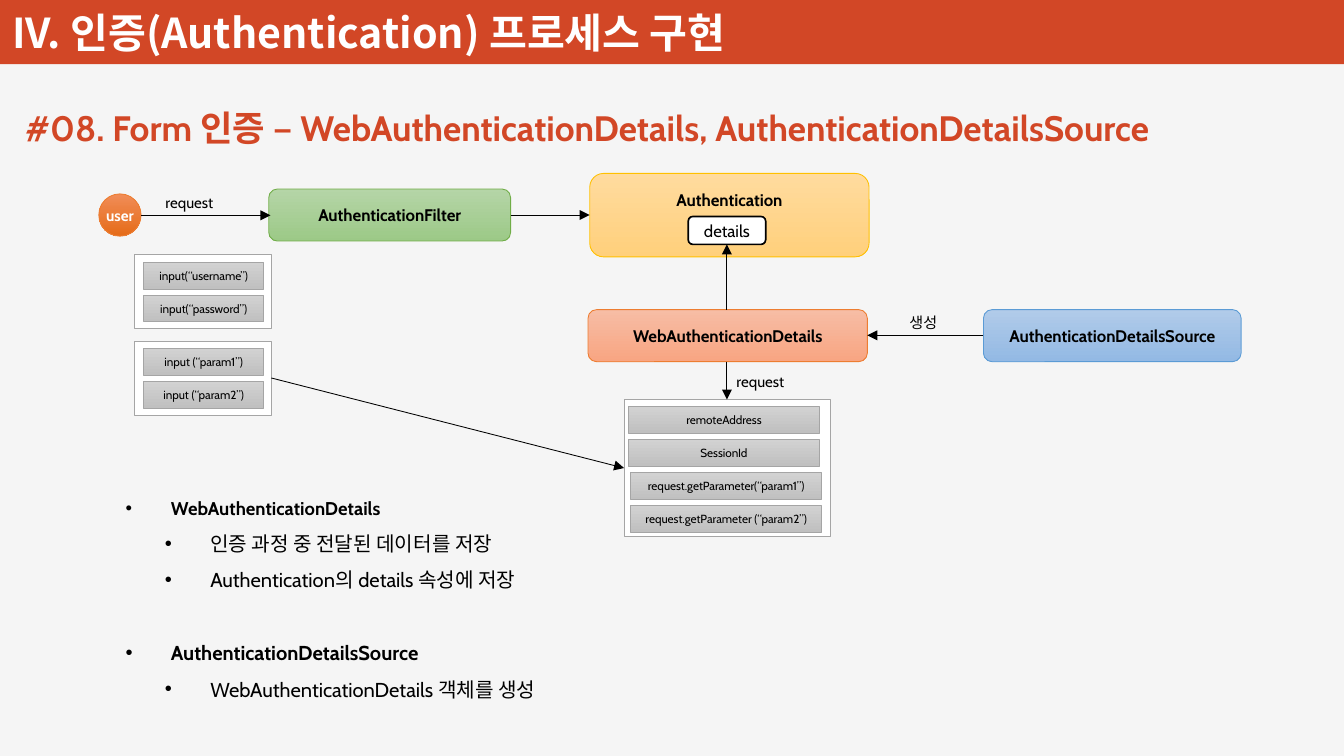
"""Build the slide on WebAuthenticationDetails and AuthenticationDetailsSource."""
from lxml import etree
from pptx import Presentation
from pptx.dml.color import RGBColor
from pptx.enum.shapes import MSO_CONNECTOR, MSO_SHAPE
from pptx.enum.text import MSO_ANCHOR, PP_ALIGN
from pptx.oxml.ns import qn
from pptx.util import Pt

RECT, ROUND, OVAL = MSO_SHAPE.RECTANGLE, MSO_SHAPE.ROUNDED_RECTANGLE, MSO_SHAPE.OVAL
STRAIGHT = MSO_CONNECTOR.STRAIGHT
TOP, MIDDLE, BOTTOM = MSO_ANCHOR.TOP, MSO_ANCHOR.MIDDLE, MSO_ANCHOR.BOTTOM
CENTER = PP_ALIGN.CENTER
LATIN, HANGUL = "Cabin", "Noto Sans CJK KR"
BLACK, WHITE, RED, GRAY = "000000", "FFFFFF", "D24726", "A5A5A5"
SILVER = ("D2D2D2", "C0C0C0")
rgb = RGBColor.from_string


def write(para, text, size, bold=False, color=BLACK, face=LATIN):
    run = para.add_run()
    run.text = text
    font = run.font
    font.name, font.size, font.bold = face, Pt(size), bold
    font.color.rgb = rgb(color)
    etree.SubElement(run._r.get_or_add_rPr(), qn("a:ea"), typeface=HANGUL)


def draw(kind, left, top, width, height, fills, edge, weight=0.5):
    shape = slide.shapes.add_shape(kind, Pt(left), Pt(top), Pt(width), Pt(height))
    shape.shadow.inherit = False
    if len(fills) == 1:
        shape.fill.solid()
        shape.fill.fore_color.rgb = rgb(fills[0])
    else:
        shape.fill.gradient()
        shape.fill.gradient_angle = 270
        for stop, shade in zip(shape.fill.gradient_stops, fills):
            stop.color.rgb = rgb(shade)
    shape.line.color.rgb = rgb(edge)
    shape.line.width = Pt(weight)
    frame = shape.text_frame
    frame.margin_left = frame.margin_right = 0
    frame.vertical_anchor = MIDDLE
    frame.word_wrap = False
    frame.paragraphs[0].alignment = CENTER
    return shape


deck = Presentation()
deck.slide_width, deck.slide_height = Pt(800), Pt(450)
slide = deck.slides.add_slide(deck.slide_layouts[6])
slide.background.fill.solid()
slide.background.fill.fore_color.rgb = rgb("F5F5F5")

band = draw(RECT, 0, 0, 800, 38.2, [RED], RED)
band.line.fill.background()
title = slide.shapes.add_textbox(Pt(0.7), Pt(-7.2), Pt(484), Pt(44)).text_frame
title.word_wrap = True
title.vertical_anchor = BOTTOM
title.margin_left = title.margin_right = Pt(6.5)
title.margin_top = title.margin_bottom = Pt(3)
write(title.paragraphs[0], "IV. 인증(Authentication) 프로세스 구현", 24.5, True, WHITE, HANGUL)

for left, top, width, height in [
    (80, 151.2, 81.5, 44), (80, 203, 81.5, 44), (371.5, 237.8, 122.5, 81.4),
]:
    draw(RECT, left, top, width, height, [WHITE], GRAY, 0.25)

fields = [
    (85.5, 156.2, 71.5, ["input(“username”)", "input(“password”)"]),
    (85.5, 207.4, 71.5, ["input (“param1”)", "input (“param2”)"]),
    (374.2, 242, 113.5, ["remoteAddress", "SessionId"]),
    (375.5, 281.4, 113.5,
     ["request.getParameter(“param1”)", "request.getParameter (“param2”)"]),
]
for left, top, width, names in fields:
    for row, name in enumerate(names):
        field = draw(RECT, left, top + 19.5 * row, width, 16, SILVER, GRAY)
        write(field.text_frame.paragraphs[0], name, 7)

nodes = [
    (OVAL, 58.8, 115.4, 25.2, 25.2, ("F18C57", "E56C19"), "ED7D31", "user"),
    (ROUND, 160, 112.5, 144, 31, ("B5D5A7", "9CC987"), "70AD47", "AuthenticationFilter"),
    (ROUND, 351, 103.2, 166.3, 49.7, ("FFDB9E", "FFD07C"), "FFC000", "Authentication"),
    (ROUND, 350, 184.3, 166.3, 31, ("F7BDA5", "F8A582"), "ED7D31", "WebAuthenticationDetails"),
    (ROUND, 585.4, 184.3, 153.4, 31, ("B1CBE9", "93B9E4"), "5B9BD5",
     "AuthenticationDetailsSource"),
    (ROUND, 409.7, 128.9, 46.1, 16.6, [WHITE], BLACK, "details"),
]
for kind, left, top, width, height, fills, edge, name in nodes:
    node = draw(kind, left, top, width, height, fills, edge, 1 if name == "details" else 0.5)
    size, color = (9, WHITE) if kind == OVAL else (10, BLACK)
    write(node.text_frame.paragraphs[0], name, size, name != "details", color)
    if name == "Authentication":
        node.text_frame.vertical_anchor = TOP
        node.text_frame.margin_top = Pt(7)

arrows = [
    (84, 128.2, 161, 128.2), (304, 128, 351, 128), (432.7, 215.3, 432.7, 237.8),
    (585.4, 199.6, 516.3, 199.6), (432.7, 184.3, 432.7, 145.5), (161.5, 225, 371.5, 278.6),
]
for ends in arrows:
    arrow = slide.shapes.add_connector(STRAIGHT, *[Pt(end) for end in ends])
    arrow.line.color.rgb = rgb(BLACK)
    arrow.line.width = Pt(0.5)
    etree.SubElement(arrow.line._get_or_add_ln(), qn("a:tailEnd"), type="triangle")
    etree.SubElement(arrow._element.spPr, qn("a:effectLst"))

heading = "#08. Form 인증 – WebAuthenticationDetails, AuthenticationDetailsSource"
labels = [
    (7.9, 59.8, 739.4, 32.4, heading, 21, True, RED),
    (91.4, 111.6, 44.6, 18, "request", 9, False, BLACK),
    (431.3, 218.2, 44.6, 18, "request", 9, False, BLACK),
    (534.2, 182.9, 32.4, 18, "생성", 9, False, BLACK),
]
for left, top, width, height, text, size, bold, color in labels:
    label = slide.shapes.add_textbox(Pt(left), Pt(top), Pt(width), Pt(height)).text_frame
    label.word_wrap = False
    write(label.paragraphs[0], text, size, bold, color)

notes = [
    (0, "WebAuthenticationDetails", 11),
    (1, "인증 과정 중 전달된 데이터를 저장", 12),
    (1, "Authentication의 details 속성에 저장", 12),
    (0, "AuthenticationDetailsSource", 12),
    (1, "WebAuthenticationDetails 객체를 생성", 12),
]
body = slide.shapes.add_textbox(Pt(67.7), Pt(285.8), Pt(282), Pt(136)).text_frame
body.word_wrap = True
for row, (level, text, size) in enumerate(notes):
    para = body.add_paragraph() if row else body.paragraphs[0]
    para.level = level
    para.line_spacing = 1.5
    if row and level == 0:
        para.space_before = Pt(21.8)
    props = para._p.get_or_add_pPr()
    props.set("marL", str(Pt(50.4 if level else 27)))
    props.set("indent", str(Pt(-27)))
    etree.SubElement(props, qn("a:buFont"), typeface="Arial")
    etree.SubElement(props, qn("a:buChar"), char="•")
    write(para, text, size, level == 0)

deck.save("out.pptx")
